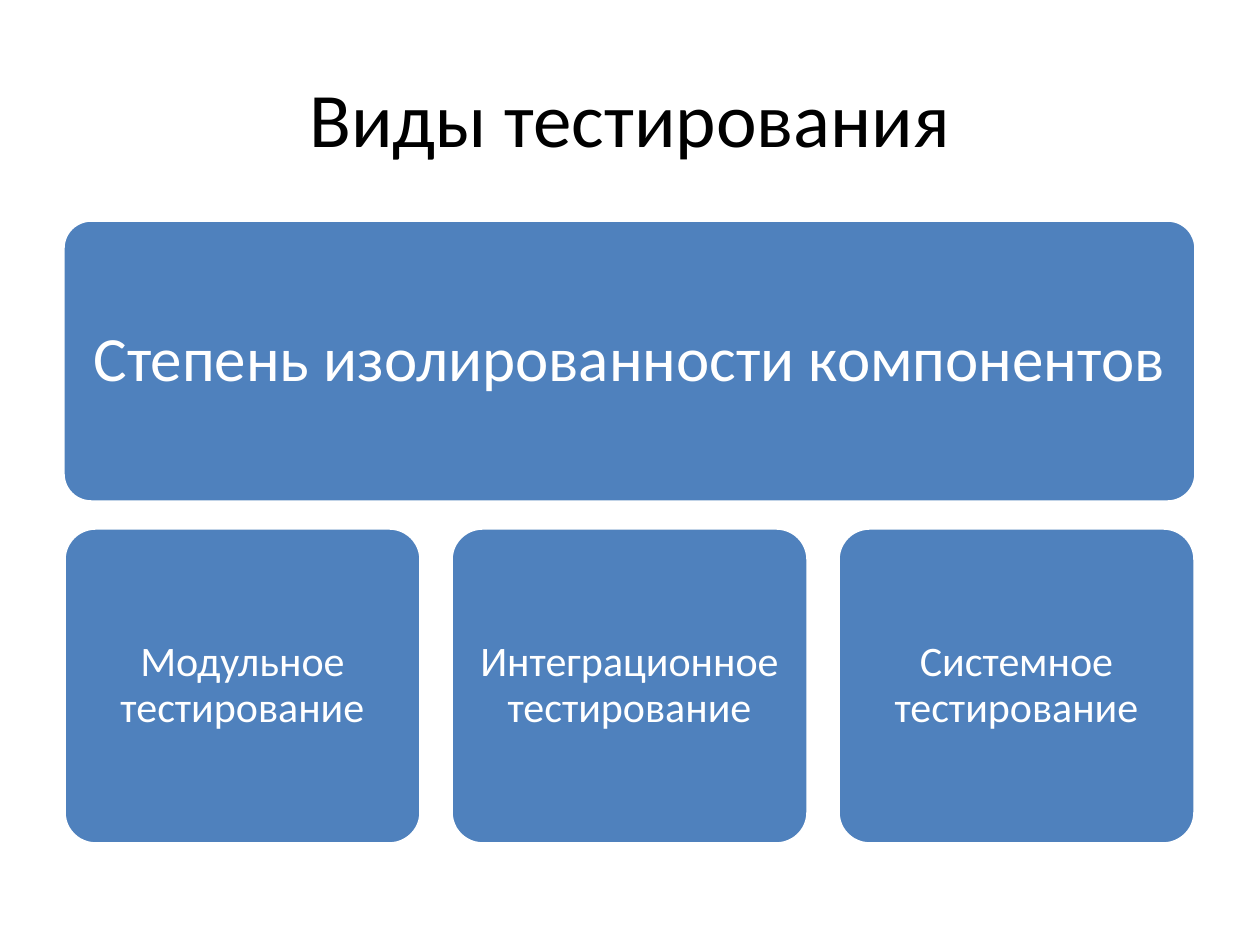
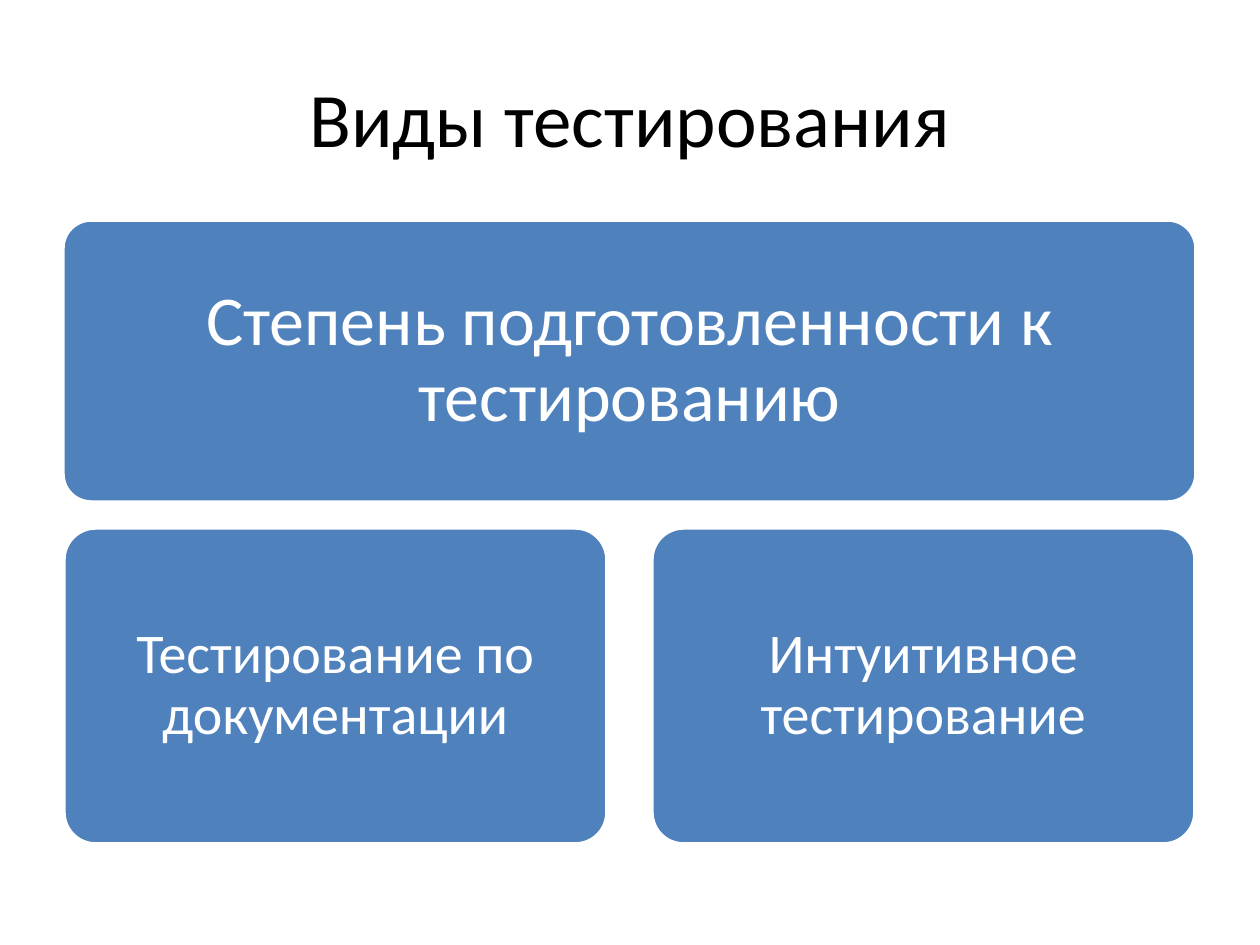
from pptx import Presentation
from pptx.dml.color import RGBColor
from pptx.enum.shapes import MSO_SHAPE
from pptx.enum.text import MSO_ANCHOR, PP_ALIGN
from pptx.util import Inches, Pt

ROUNDED = MSO_SHAPE.ROUNDED_RECTANGLE
MIDDLE = MSO_ANCHOR.MIDDLE
CENTER = PP_ALIGN.CENTER
PX = Inches(1) / 126
FONT = "Calibri"
COLORS = {"title": "000000", "card": "4F81BD", "white": "FFFFFF"}
TITLE_BOX = (63, 38, 1134, 158)
HEADER_BOX = (63, 220, 1133, 282)
ROW_BOX = (64, 528, 1131, 316)
TITLE = "Виды тестирования"
SLIDES = [
    {"header": "Степень изолированности компонентов", "header_size": 36,
     "cards": ["Модульное тестирование", "Интеграционное тестирование",
               "Системное тестирование"],
     "card_size": 24, "gap": 30},
    {"header": "Степень подготовленности к тестированию", "header_size": 40,
     "cards": ["Тестирование по документации", "Интуитивное тестирование"],
     "card_size": 32, "gap": 45},
]


def color(name):
    return RGBColor.from_string(COLORS[name])


def emu(box):
    return [round(v * PX) for v in box]


def write(tf, text, size, color_name, **para):
    for name, value in {"word_wrap": True, "vertical_anchor": MIDDLE}.items():
        setattr(tf, name, value)
    p = tf.paragraphs[0]
    for name, value in {"alignment": CENTER, **para}.items():
        setattr(p, name, value)
    r = p.add_run()
    r.text = text
    for name, value in {"name": FONT, "size": Pt(size)}.items():
        setattr(r.font, name, value)
    r.font.color.rgb = color(color_name)


def add_title(s, box):
    sp = s.shapes.title
    sp.left, sp.top, sp.width, sp.height = emu(box)
    write(sp.text_frame, TITLE, 44, "title")


def add_card(s, box, text, size):
    sp = s.shapes.add_shape(ROUNDED, *emu(box))
    sp.adjustments[0] = 0.1
    sp.shadow.inherit = False
    sp.fill.solid()
    sp.fill.fore_color.rgb = color("card")
    sp.line.color.rgb = color("white")
    sp.line.width = Pt(2)
    tf = sp.text_frame
    for side in ("left", "top", "right", "bottom"):
        setattr(tf, f"margin_{side}", Pt(size * 0.3))
    write(tf, text, size, "white", line_spacing=0.9)


def add_card_row(s, box, texts, size, gap):
    left, top, width, height = box
    card_width = (width - gap * (len(texts) - 1)) // len(texts)
    for i, text in enumerate(texts):
        x = left + i * (card_width + gap)
        add_card(s, (x, top, card_width, height), text, size)


def add_types_slide(prs, content):
    s = prs.slides.add_slide(prs.slide_layouts[5])
    add_title(s, TITLE_BOX)
    add_card(s, HEADER_BOX, content["header"], content["header_size"])
    add_card_row(s, ROW_BOX, content["cards"], content["card_size"], content["gap"])


def main():
    prs = Presentation()
    prs.slide_width, prs.slide_height = Inches(10), Inches(7.5)
    for content in SLIDES:
        add_types_slide(prs, content)
    prs.save("out.pptx")


if __name__ == "__main__":
    main()
